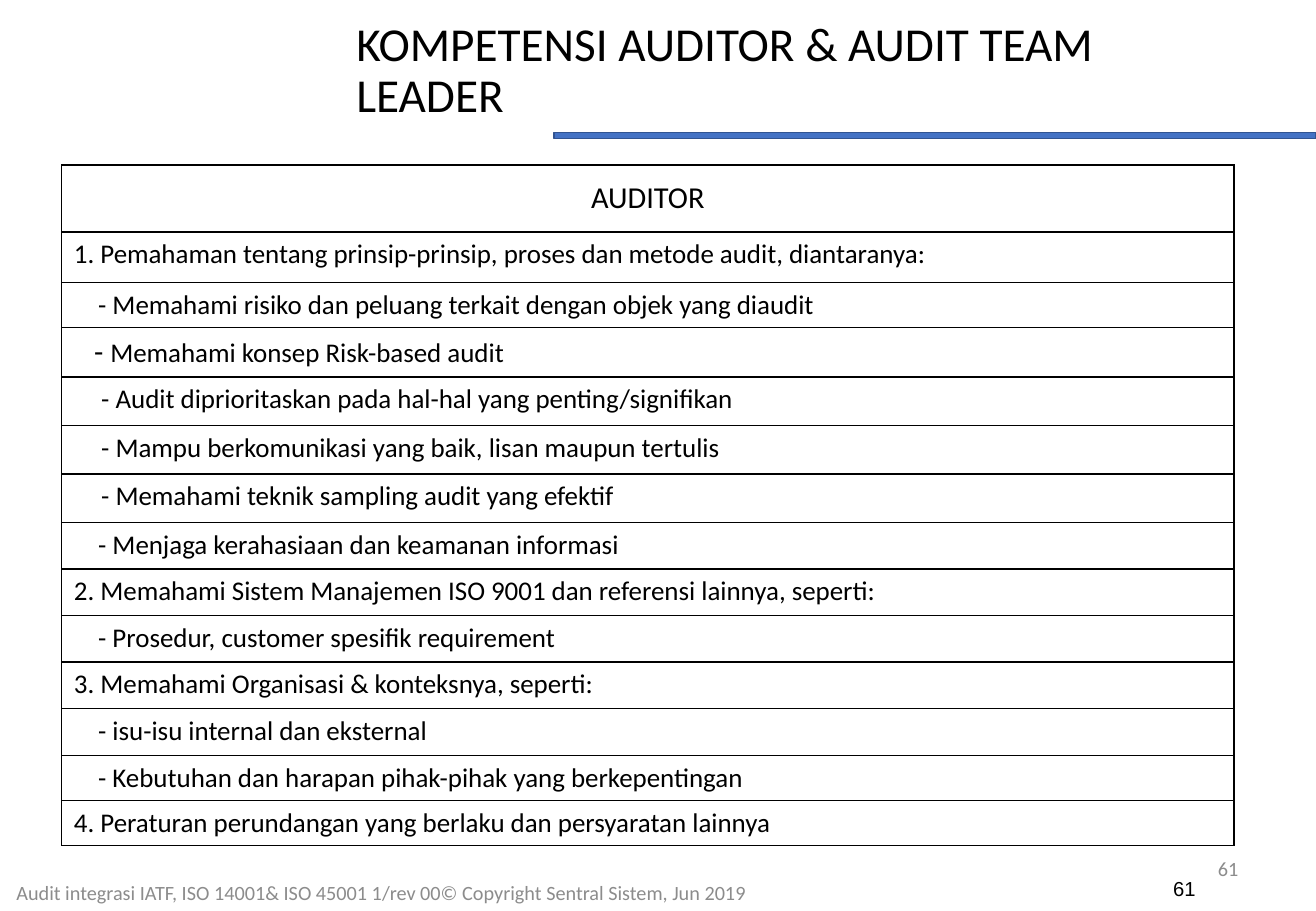
from pptx import Presentation
from pptx.dml.color import RGBColor
from pptx.enum.shapes import MSO_SHAPE as Shape
from pptx.enum.text import MSO_ANCHOR as Anchor, MSO_AUTO_SIZE as AutoSize, PP_ALIGN as Align
from pptx.oxml import parse_xml
from pptx.oxml.ns import nsdecls
from pptx.util import Pt

PX = 914400 // 120  # 120 px to the inch
BLACK, GREY, BLUE, NAVY = "000000", "8C8C8C", "4472C4", "325491"

# Each row: height, indent, runs of (text, size)
ROWS = [
    (66, 0, [("AUDITOR", 18)]),
    (50, 0, [("1. Pemahaman tentang prinsip-prinsip, proses dan metode audit, diantaranya:", 16)]),
    (44, 24, [("- Memahami risiko dan peluang terkait dengan objek yang diaudit", 16)]),
    (48, 20, [("- ", 18), ("Memahami konsep Risk-based audit", 16)]),
    (48, 27, [("- Audit diprioritaskan pada hal-hal yang penting/signifikan", 16)]),
    (48, 27, [("- Mampu berkomunikasi yang baik, lisan maupun tertulis", 16)]),
    (48, 27, [("- Memahami teknik sampling audit yang efektif", 16)]),
    (46, 24, [("- Menjaga kerahasiaan dan keamanan informasi", 16)]),
    (46, 0, [("2. Memahami Sistem Manajemen ISO 9001 dan referensi lainnya, seperti:", 16)]),
    (46, 24, [("- Prosedur, customer spesifik requirement", 16)]),
    (46, 0, [("3. Memahami Organisasi & konteksnya, seperti:", 16)]),
    (46, 24, [("- isu-isu internal dan eksternal", 16)]),
    (44, 24, [("- Kebutuhan dan harapan pihak-pihak yang berkepentingan", 16)]),
    (44, 0, [("4. Peraturan perundangan yang berlaku dan persyaratan lainnya", 16)]),
]


def color(value):
    return RGBColor.from_string(value)


def emu(*lengths):
    return [length * PX for length in lengths]


def add_run(paragraph, text, size, fill=BLACK, font="Calibri"):
    run = paragraph.add_run()
    run.text = text
    run.font.size = Pt(size)
    run.font.name = font
    run.font.bold = False
    run.font.color.rgb = color(fill)


def add_label(slide, box, text, align, anchor=Anchor.MIDDLE, fill=GREY, font="Calibri"):
    frame = slide.shapes.add_textbox(*emu(*box)).text_frame
    frame.word_wrap = True
    frame.vertical_anchor = anchor
    paragraph = frame.paragraphs[0]
    paragraph.alignment = align
    add_run(paragraph, text, 12, fill, font)


def add_heading(slide, box):
    left, top, width, height = box
    title = slide.shapes.title
    title.left, title.top, title.width, title.height = emu(*box)
    frame = title.text_frame
    frame.word_wrap = True
    frame.auto_size = AutoSize.NONE
    frame.vertical_anchor = Anchor.MIDDLE
    paragraph = frame.paragraphs[0]
    paragraph.alignment = Align.LEFT
    paragraph.line_spacing = 0.9
    add_run(paragraph, "KOMPETENSI AUDITOR & AUDIT TEAM LEADER", 28)

    # Rule under the title, running to the slide's right edge
    rule_left = left + 207
    rule = slide.shapes.add_shape(
        Shape.RECTANGLE, *emu(rule_left, top + height - 15, 1300 - rule_left, 6))
    rule.shadow.inherit = False
    rule.fill.solid()
    rule.fill.fore_color.rgb = color(BLUE)
    rule.line.color.rgb = color(NAVY)
    rule.line.width = Pt(1)


def add_borders(cell):
    properties = cell._tc.get_or_add_tcPr()
    for index, side in enumerate(("lnL", "lnR", "lnT", "lnB")):
        properties.insert(index, parse_xml(
            f'<a:{side} {nsdecls("a")} w="{Pt(1)}"><a:solidFill>'
            f'<a:srgbClr val="{BLACK}"/></a:solidFill></a:{side}>'))


def add_competence_table(slide, box):
    table = slide.shapes.add_table(len(ROWS), 1, *emu(*box)).table
    table.horz_banding = False
    table.columns[0].width = box[2] * PX
    for index, (height, indent, runs) in enumerate(ROWS):
        table.rows[index].height = height * PX
        cell = table.cell(index, 0)
        cell.fill.background()
        add_borders(cell)
        paragraph = cell.text_frame.paragraphs[0]
        if index == 0:
            cell.vertical_anchor = Anchor.MIDDLE
            paragraph.alignment = Align.CENTER
        if indent:
            paragraph._p.get_or_add_pPr().set("marL", str(indent * PX))
        for text, size in runs:
            add_run(paragraph, text, size)


def add_footer(slide, box):
    left, top, width, height = box
    add_label(slide, (left + 931, top, 304, 48), "61", Align.RIGHT)
    add_label(slide, (left + 1147, top + 26, 100, 48), "61", Align.LEFT,
              Anchor.TOP, BLACK, "Arial")
    add_label(slide, (left, top + 24, 754, 48),
              "Audit integrasi IATF, ISO 14001& ISO 45001 1/rev 00© Copyright Sentral Sistem, Jun 2019",
              Align.CENTER)


def main():
    presentation = Presentation()
    presentation.slide_width, presentation.slide_height = emu(1300, 900)
    slide = presentation.slides.add_slide(presentation.slide_layouts[5])
    add_heading(slide, (340, -4, 906, 150))
    add_competence_table(slide, (61, 163, 1158, sum(row[0] for row in ROWS)))
    add_footer(slide, (0, 834, 1300, 66))
    presentation.save("out.pptx")


if __name__ == "__main__":
    main()
